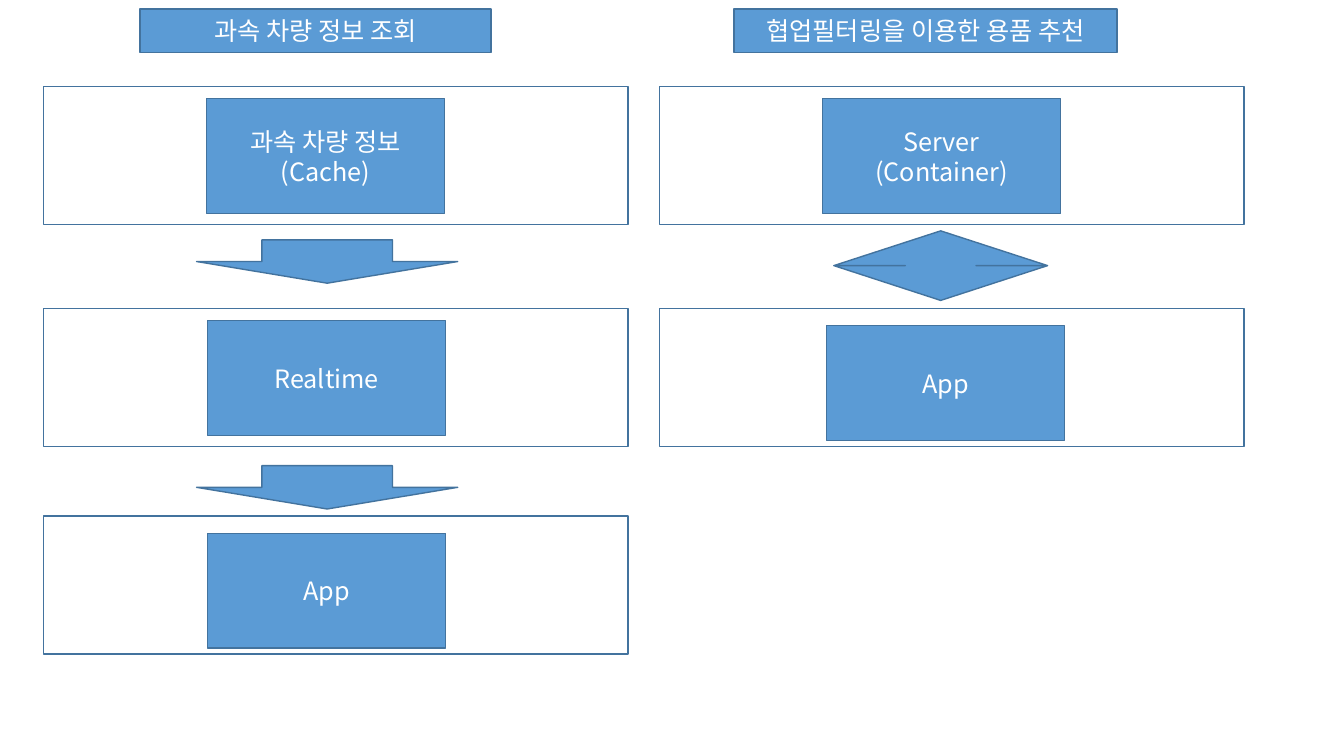
import lxml.etree
import pptx
import pptx.dml.color
import pptx.enum.shapes
import pptx.enum.text
import pptx.oxml.ns
import pptx.util

PX = 9144
SHAPE = pptx.enum.shapes.MSO_SHAPE
WHITE = pptx.dml.color.RGBColor(0xFF, 0xFF, 0xFF)
BLUE = pptx.dml.color.RGBColor(0x5B, 0x9B, 0xD5)
NAVY = pptx.dml.color.RGBColor(0x43, 0x73, 0x9E)
FONT = "Noto Sans CJK KR"
PANEL_W, PANEL_H = 580, 137
BLOCK_W, BLOCK_H = 236, 114
TITLE_H = 43


def add_box(s, kind, x, y, w, h, fill=BLUE, lines=()):
    sp = s.shapes.add_shape(kind, x * PX, y * PX, w * PX, h * PX)
    sp.shadow.inherit = False
    sp.fill.solid()
    sp.fill.fore_color.rgb = fill
    sp.line.color.rgb = NAVY
    sp.line.width = pptx.util.Pt(1)
    tf = sp.text_frame
    tf.vertical_anchor = pptx.enum.text.MSO_ANCHOR.MIDDLE
    for i, line in enumerate(lines):
        p = tf.add_paragraph() if i else tf.paragraphs[0]
        p.add_run().text = line
        p.alignment = pptx.enum.text.PP_ALIGN.CENTER
        p.font.size = pptx.util.Pt(18)
        p.font.color.rgb = WHITE
        p.font.name = FONT
        props = p._p.pPr.find(pptx.oxml.ns.qn("a:defRPr"))
        latin = props.find(pptx.oxml.ns.qn("a:latin"))
        ea = lxml.etree.Element(pptx.oxml.ns.qn("a:ea"), typeface=FONT)
        latin.addnext(ea)
    return sp


def add_flow(s, x, y, title, stages, arrows):
    title_dx, title_w, title_text = title
    for panel_dy, *_ in stages:
        add_box(s, SHAPE.RECTANGLE, x, y + panel_dy, PANEL_W, PANEL_H, WHITE)
    for kind, dx, dy, w, h, adjustments in arrows:
        arrow = add_box(s, kind, x + dx, y + dy, w, h)
        for i, value in enumerate(adjustments):
            arrow.adjustments[i] = value
    for panel_dy, dx, dy, lines in stages:
        add_box(s, SHAPE.RECTANGLE, x + dx, y + panel_dy + dy,
                BLOCK_W, BLOCK_H, lines=lines)
    add_box(s, SHAPE.RECTANGLE, x + title_dx, y, title_w, TITLE_H,
            lines=[title_text])


def main():
    prs = pptx.Presentation()
    prs.slide_width = 1333 * PX
    prs.slide_height = 750 * PX
    s = prs.slides.add_slide(prs.slide_layouts[6])
    add_flow(
        s, 43, 9, (96, 348, "과속 차량 정보 조회"),
        [(77, 162, 12, ["과속 차량 정보", "(Cache)"]),
         (297, 163, 12, ["Realtime"]),
         (503, 163, 17, ["App"])],
        [(SHAPE.DOWN_ARROW, 152, dy, 259, 43, ()) for dy in (229, 453)])
    add_flow(
        s, 654, 9, (74, 380, "협업필터링을 이용한 용품 추천"),
        [(77, 162, 12, ["Server", "(Container)"]),
         (297, 166, 17, ["App"])],
        [(SHAPE.UP_DOWN_ARROW, 173, 220, 212, 69, (0.5, 0.33))])
    prs.save("out.pptx")


if __name__ == "__main__":
    main()
